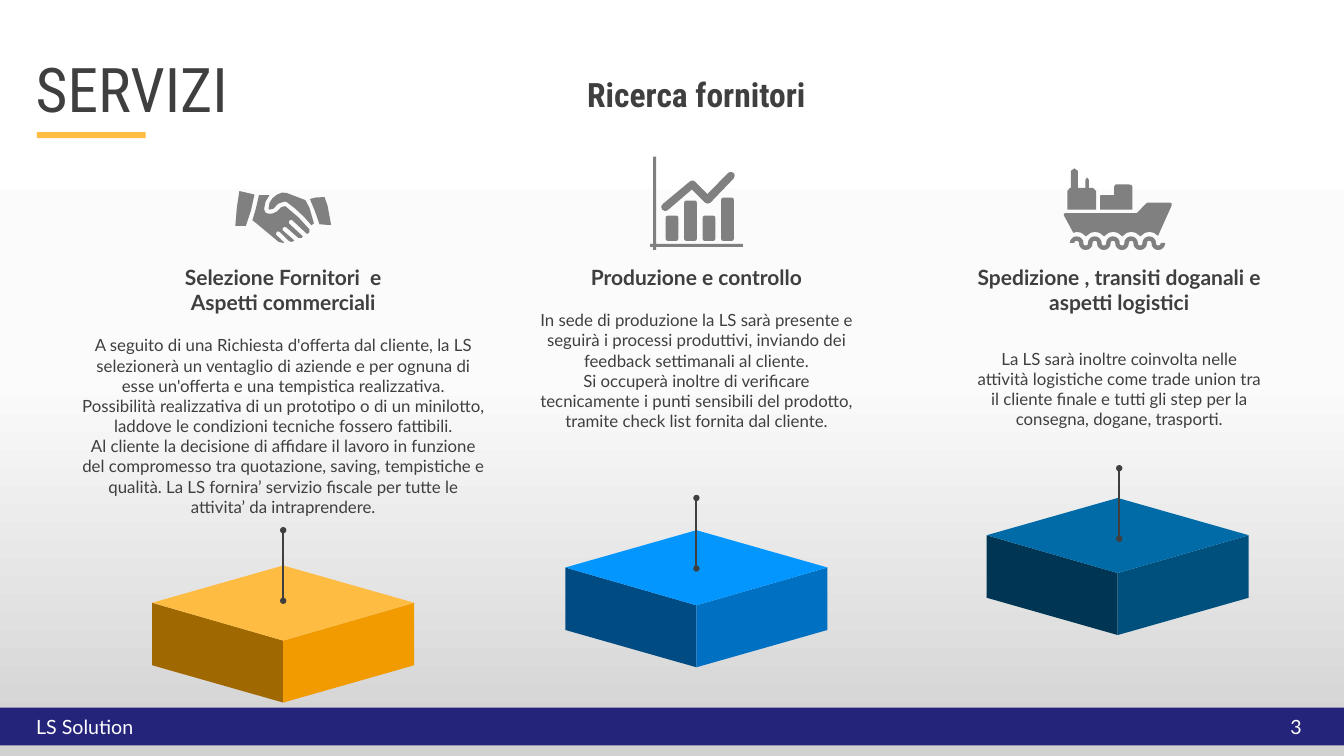
from copy import deepcopy
from math import cos, pi, sin

from lxml import etree
from pptx import Presentation
from pptx.dml.color import RGBColor
from pptx.enum.shapes import MSO_CONNECTOR, MSO_SHAPE
from pptx.enum.text import PP_ALIGN
from pptx.oxml.ns import qn
from pptx.util import Inches, Pt

LEFT, CENTER, RIGHT = PP_ALIGN.LEFT, PP_ALIGN.CENTER, PP_ALIGN.RIGHT
RECTANGLE, ROUNDED = MSO_SHAPE.RECTANGLE, MSO_SHAPE.ROUNDED_RECTANGLE
STRAIGHT = MSO_CONNECTOR.STRAIGHT

INK = RGBColor(0x3F, 0x3F, 0x3F)
GREY = RGBColor(0x80, 0x80, 0x80)
WHITE = RGBColor(0xFF, 0xFF, 0xFF)
NEAR_WHITE = RGBColor(0xFB, 0xFB, 0xFB)
SILVER = RGBColor(0xD1, 0xD1, 0xD1)
NAVY = RGBColor(0x25, 0x24, 0x7B)
AMBER = RGBColor(0xFF, 0xBC, 0x42)
AMBER_MID = RGBColor(0xF1, 0x9B, 0x00)
AMBER_DARK = RGBColor(0xA0, 0x68, 0x00)
BLUE = RGBColor(0x04, 0x96, 0xFF)
BLUE_MID = RGBColor(0x00, 0x71, 0xC2)
BLUE_DARK = RGBColor(0x00, 0x4B, 0x82)
TEAL = RGBColor(0x00, 0x6B, 0xA6)
TEAL_MID = RGBColor(0x00, 0x50, 0x7D)
TEAL_DARK = RGBColor(0x00, 0x36, 0x53)

# The slide is a grid of 2667 columns by 1500 rows; all places count its cells.
CELL = Inches(0.01)
COLUMNS, ROWS = 2667, 1500

prs = Presentation()
prs.slide_width, prs.slide_height = COLUMNS * CELL, ROWS * CELL
slide = prs.slides.add_slide(prs.slide_layouts[6])
shapes = slide.shapes

# Background: white to silver, top to bottom
backdrop = slide.background.fill
backdrop.gradient()
backdrop.gradient_angle = 270
stop_list = slide.element.find(".//" + qn("a:gsLst"))
stop_list.append(deepcopy(stop_list[-1]))
for stop, (position, color) in zip(
        backdrop.gradient_stops, [(0, WHITE), (0.5, NEAR_WHITE), (1, SILVER)]):
    stop.position = position
    stop.color.rgb = color


def add_outline(contours, color):
    """Draw one filled freeform made of closed contours of grid points."""
    builder = shapes.build_freeform(*contours[0][0], scale=CELL)
    for number, contour in enumerate(contours):
        if number:
            builder.move_to(*contour[0])
        builder.add_line_segments(contour[1:], close=True)
    outline = builder.convert_to_shape()
    outline.shadow.inherit = False
    outline.fill.solid()
    outline.fill.fore_color.rgb = color
    outline.line.fill.background()


def add_text(box, paragraphs, font="Lato", color=INK, align=CENTER, spacing=None, wrap=True):
    """Write paragraphs of (lines, size, bold, space before); lines end in breaks."""
    frame = shapes.add_textbox(*(cells * CELL for cells in box)).text_frame
    frame.word_wrap = wrap
    for number, (lines, size, bold, before) in enumerate(paragraphs):
        paragraph = frame.add_paragraph() if number else frame.paragraphs[0]
        paragraph.alignment = align
        paragraph.space_before = Pt(before)
        if spacing:
            paragraph.line_spacing = spacing
        for row, line in enumerate(lines):
            if row:
                paragraph.add_line_break()
            run = paragraph.add_run()
            run.text = line
            run.font.name, run.font.size, run.font.bold = font, Pt(size), bold
            run.font.color.rgb = color


# Footer band, title underline and the bars of the chart icon
CHART_BASE = 478
bars = [(1321 + 36.7 * i, top, 25, CHART_BASE - top, ROUNDED, GREY)
        for i, top in enumerate([428, 398, 428, 392])]
for left, top, width, height, preset, color in [
        (0, 1404, COLUMNS, 75, RECTANGLE, NAVY),
        (73, 262, 216, 12, RECTANGLE, AMBER), *bars]:
    block = shapes.add_shape(preset, *(int(n * CELL) for n in (left, top, width, height)))
    block.shadow.inherit = False
    block.fill.solid()
    block.fill.fore_color.rgb = color
    block.line.fill.background()

add_text((62, 1413, 219, 57), [(["LS Solution"], 28, False, 0)],
         color=WHITE, align=LEFT, wrap=False)
add_text((2413, 1413, 180, 57), [(["3"], 28, False, 0)], color=WHITE, align=RIGHT)
add_text((61, 130, 2300, 121), [(["SERVIZI"], 88, False, 0)],
         font="Roboto Condensed", align=LEFT, spacing=0.75)
add_text((232, 161, 2300, 71), [(["Ricerca fornitori"], 48, True, 0)],
         font="Roboto Condensed", spacing=0.75)

# Pedestals: two side faces, a top face and a pin
HALF, SLOPE, SIDE, PIN = 260, 74.5, 123, 140
for middle, apex, pin_x, pin_top, top_color, right_color, left_color in [
        (2218, 988, 2221, 929, TEAL, TEAL_MID, TEAL_DARK),
        (1382, 1052, 1382, 988, BLUE, BLUE_MID, BLUE_DARK),
        (562, 1122, 562, 1052, AMBER, AMBER_MID, AMBER_DARK)]:
    shoulder, front = apex + SLOPE, apex + 2 * SLOPE
    for edge, color in [(middle - HALF, left_color), (middle + HALF, right_color)]:
        add_outline([[(middle, front + SIDE), (edge, shoulder + SIDE),
                      (edge, shoulder), (middle, front)]], color)
    add_outline([[(middle, apex), (middle + HALF, shoulder),
                  (middle, front), (middle - HALF, shoulder)]], top_color)
    pin = shapes.add_connector(STRAIGHT, pin_x * CELL, pin_top * CELL,
                               pin_x * CELL, (pin_top + PIN) * CELL)
    pin.line.color.rgb = INK
    pin.line.width = Pt(3)
    pin_line = pin.line._get_or_add_ln()
    for end in ("a:headEnd", "a:tailEnd"):
        etree.SubElement(pin_line, qn(end), type="oval")
    etree.SubElement(pin.element.spPr, qn("a:effectLst"))

# Service descriptions
add_text((150, 520, 824, 515), [
    (["Selezione Fornitori  e"], 30, True, 0),
    (["Aspetti commerciali"], 30, True, 0),
    (["A seguito di una Richiesta d'offerta dal cliente, la LS selezionerà un ventaglio di "
      "aziende e per ognuna di esse un'offerta e una tempistica realizzativa.",
      "Possibilità realizzativa di un prototipo o di un minilotto, laddove le condizioni "
      "tecniche fossero fattibili.",
      "Al cliente la decisione di affidare il lavoro in funzione del compromesso tra "
      "quotazione, saving, tempistiche e qualità. La LS fornira’ servizio fiscale per tutte "
      "le attivita’ da intraprendere."], 24, False, 28.8)])
add_text((1046, 520, 672, 343), [
    (["Produzione e controllo"], 30, True, 0),
    (["In sede di produzione la LS sarà presente e seguirà i processi produttivi, inviando "
      "dei feedback settimanali al cliente.",
      "Si occuperà inoltre di verificare tecnicamente i punti sensibili del prodotto, "
      "tramite check list fornita dal cliente."], 24, False, 28.8)])
add_text((1926, 520, 590, 340), [
    (["Spedizione , transiti doganali e aspetti logistici"], 30, True, 0),
    (["La LS sarà inoltre coinvolta nelle attività logistiche come trade union tra il "
      "cliente finale e tutti gli step per la consegna, dogane, trasporti."], 24, False, 48)])

# Handshake icon: upper hand, left cuff, lower hand with fingers, right cuff
upper_hand = [(577, 386), (606, 397), (614, 412), (623, 443), (618, 447), (604, 431),
              (586, 414), (569, 401), (565, 400), (555, 403), (551, 405), (543, 414),
              (535, 416), (533, 414), (535, 402), (541, 393), (550, 386), (560, 382),
              (569, 383)]
left_cuff = [(488, 448), (467, 448), (470, 412), (475, 379), (505, 386), (498, 418)]
lower_hand = [(612, 463), (609, 464), (580, 437), (576, 436), (573, 440), (574, 444),
              (601, 469), (599, 472), (592, 472), (568, 451), (564, 450), (561, 453),
              (561, 457), (584, 477), (582, 479), (577, 480), (572, 477), (555, 460),
              (551, 459), (548, 462), (548, 466), (564, 481), (562, 482), (553, 480),
              (511, 445), (501, 437), (508, 413), (514, 387), (535, 387), (527, 400),
              (524, 415), (527, 422), (532, 424), (540, 424), (549, 420), (558, 411),
              (566, 409), (592, 431), (614, 455), (614, 460)]
right_cuff = [(647, 446), (634, 445), (625, 419), (615, 395), (626, 392), (644, 391),
              (650, 408), (657, 446)]
add_outline([upper_hand, left_cuff, lower_hand, right_cuff], GREY)

# Chart icon: axes and trend line
add_outline([[(1474, 484), (1302, 484), (1302, 311), (1296, 311), (1296, 484), (1290, 484),
              (1290, 490), (1296, 490), (1296, 496), (1302, 496), (1302, 490),
              (1474, 490)]], GREY)
add_outline([[(1320, 419), (1325, 417), (1373, 376), (1399, 402), (1404, 404), (1410, 402),
              (1456, 354), (1458, 348), (1456, 343), (1450, 341), (1445, 343), (1404, 385),
              (1379, 360), (1374, 358), (1369, 360), (1315, 405), (1312, 410), (1314, 416)]],
            GREY)

# Ship icon: cargo, funnels, hull scalloped above the waves
add_outline([[(2247, 370), (2245, 367), (2240, 366), (2214, 366), (2211, 370), (2211, 387),
              (2187, 387), (2183, 388), (2183, 416), (2247, 416)]], GREY)
add_outline([[(2175, 379), (2169, 373), (2161, 373), (2161, 357), (2157, 352), (2154, 357),
              (2154, 373), (2139, 373), (2139, 339), (2132, 334), (2125, 339), (2125, 373),
              (2123, 373), (2118, 379), (2118, 416), (2175, 416)]], GREY)
hull = [(2325, 404), (2322, 402), (2277, 402), (2273, 405), (2256, 423), (2114, 423),
        (2111, 424), (2111, 427), (2130, 462), (2137, 460)]
for trough in range(2155, 2264, 36):
    hull += [(trough - 9, 462.5), (trough, 469), (trough + 9, 462.5), (trough + 18, 460)]
add_outline([hull + [(2290, 462), (2298, 468), (2325, 408)]], GREY)

WAVE_LEFT, WAVE_Y, RADIUS, HALF_BAND, ARCS, STEPS = 2127.5, 482.5, 9, 4.5, 10, 8
wave_edges = []
for side in (1, -1):
    edge = []
    for arc in range(ARCS):
        up = 1 if arc % 2 == 0 else -1
        reach = RADIUS + side * up * HALF_BAND
        arc_center = WAVE_LEFT + RADIUS * (2 * arc + 1)
        edge += [(arc_center - reach * cos(pi * step / STEPS),
                  WAVE_Y - up * reach * sin(pi * step / STEPS)) for step in range(STEPS + 1)]
    wave_edges.append(edge)
add_outline([wave_edges[0] + wave_edges[1][::-1]], GREY)

prs.save("out.pptx")
